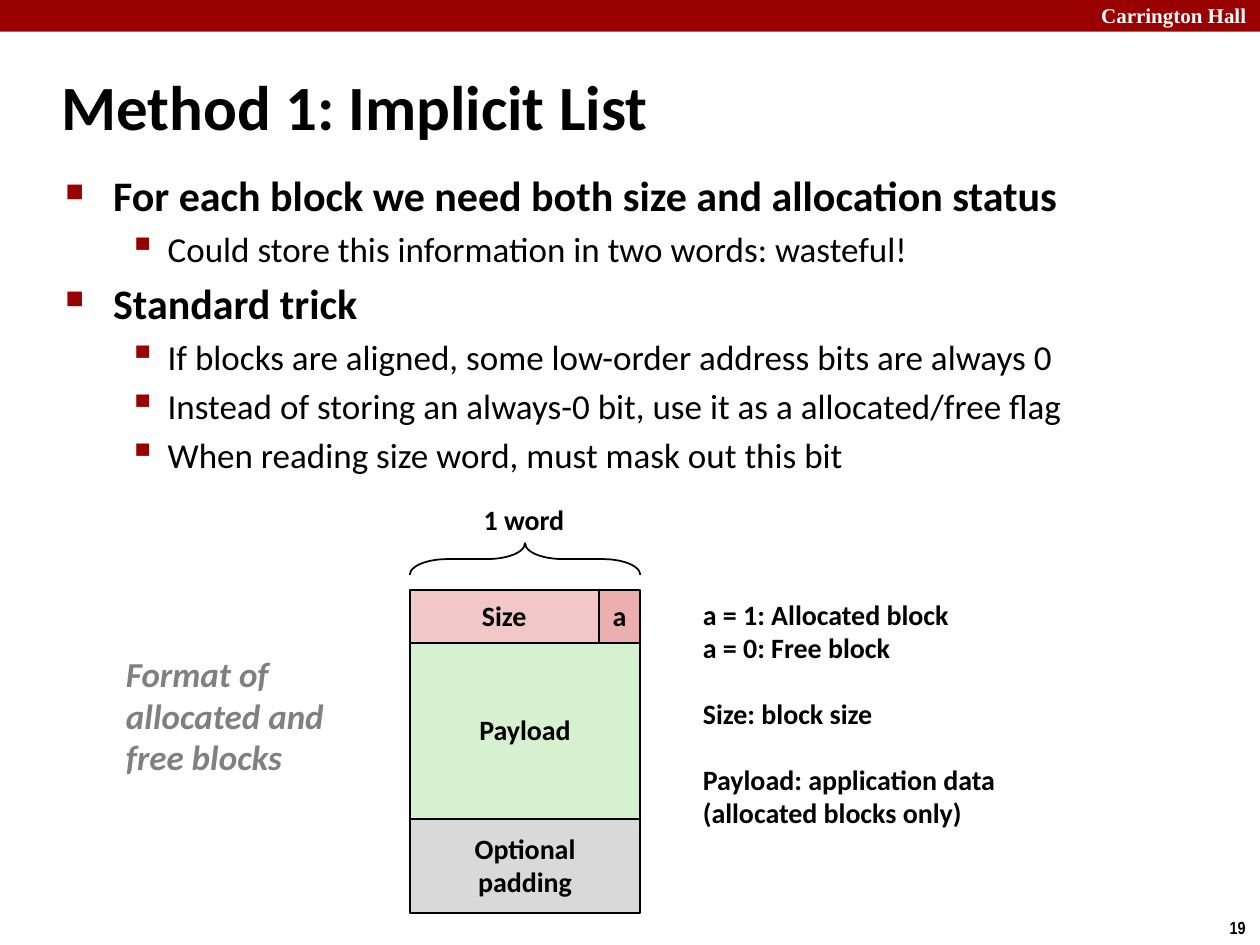
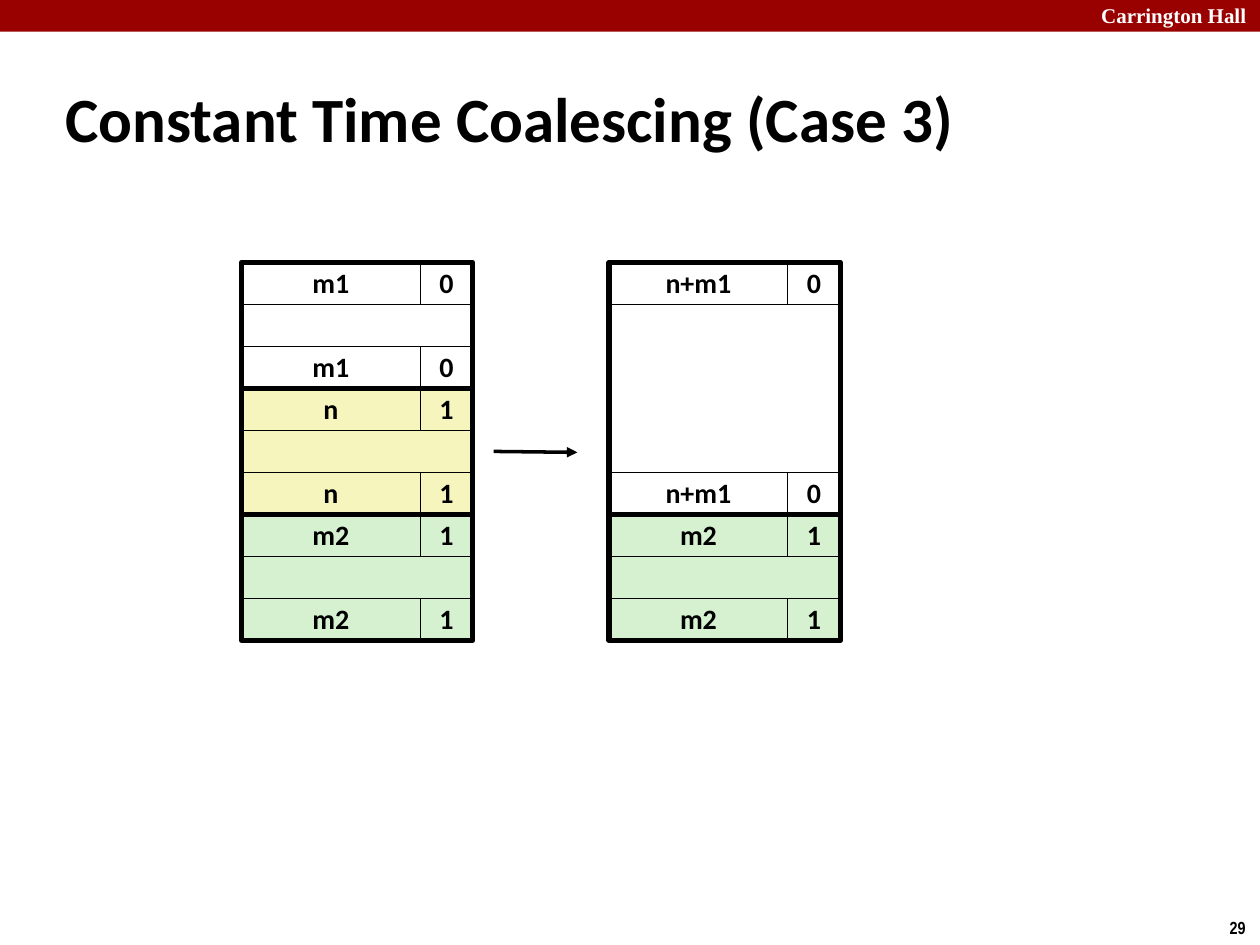
from lxml import etree
from pptx import Presentation
from pptx import util as u
from pptx.dml.color import RGBColor
from pptx.enum import shapes, text
from pptx.oxml import ns

COL = {"band": "990000", "white": "FFFFFF", "ink": "000000", "note": "808080",
       "size": "F1C7C7", "flag": "EBAFAF", "green": "D5F1CF", "pad": "D9D9D9",
       "yellow": "F6F5BD"}
FONT = "Calibri"
LEFT, MID = text.PP_ALIGN.LEFT, text.PP_ALIGN.CENTER
RECT = shapes.MSO_SHAPE.RECTANGLE
# Bullet levels: size, bold, margin, hang (cm), space before, sign, sign size
LEVEL = [(24, True, 0.96, 0.96, 4.8, "■", 60000),
         (20, False, 2.06, 0.79, 4, "▪", 110000)]


def rgb(name):
    return RGBColor.from_string(COL[name])


def node(top, tag, **attrs):
    return etree.SubElement(top, ns.qn("a:" + tag), attrs)


def write(para, words, size=16, col="ink", bold=True, slant=False, font=FONT):
    run = para.add_run()
    run.text = words
    face = run.font
    face.size, face.bold, face.italic, face.name = u.Pt(size), bold, slant, font
    face.color.rgb = rgb(col)


def fill_text(frame, lines, align=LEFT, space=0.98, gaps=(), **style):
    """One paragraph a line; gaps lists the lines with a line of space above."""
    frame.word_wrap = False
    for i, words in enumerate(lines):
        para = frame.paragraphs[0] if i == 0 else frame.add_paragraph()
        para.alignment, para.line_spacing = align, space
        if i in gaps:
            para.space_before = u.Pt(18.8)
        write(para, words, **style)


def label(slide, box, lines, anchor=text.MSO_ANCHOR.TOP, **style):
    frame = slide.shapes.add_textbox(*map(u.Cm, box)).text_frame
    frame.vertical_anchor = anchor
    fill_text(frame, lines, **style)


def shape(slide, box, col=None, line=1, kind=RECT):
    item = slide.shapes.add_shape(kind, *map(u.Cm, box))
    item.shadow.inherit = False
    if col:
        item.fill.solid()
        item.fill.fore_color.rgb = rgb(col)
    else:
        item.fill.background()
    if line:
        item.line.color.rgb = rgb("ink")
        item.line.width = u.Pt(line)
    else:
        item.line.fill.background()
    return item


def cell(slide, box, col, lines=(), line=1):
    frame = shape(slide, box, col, line).text_frame
    frame.vertical_anchor = text.MSO_ANCHOR.MIDDLE
    fill_text(frame, lines, align=MID)


def page(deck, number, title, box):
    """Blank slide with the shared band, page number and title."""
    slide = deck.slides.add_slide(deck.slide_layouts[6])
    shape(slide, (0, 0, 25.4, 0.64), "band", line=0)
    label(slide, (21.95, -0.08, 3.63, 0.76), ["Carrington Hall"], space=1,
          size=12, col="white", font="Times New Roman")
    label(slide, (24.54, 18.36, 0.86, 0.69), [str(number)], space=1,
          size=10, font="Arial Narrow")
    label(slide, box, [title], anchor=text.MSO_ANCHOR.MIDDLE, space=1, size=36)
    return slide


def points(slide, box, items):
    """Bulleted text from (level, words) pairs."""
    frame = slide.shapes.add_textbox(*map(u.Cm, box)).text_frame
    frame.word_wrap = True
    for i, (depth, words) in enumerate(items):
        size, bold, margin, hang, above, sign, scale = LEVEL[depth]
        para = frame.paragraphs[0] if i == 0 else frame.add_paragraph()
        para.level, para.space_before = depth, u.Pt(above)
        props = para._p.get_or_add_pPr()
        props.set("marL", str(u.Cm(margin)))
        props.set("indent", str(-u.Cm(hang)))
        node(node(props, "buClr"), "srgbClr", val=COL["band"])
        node(props, "buSzPct", val=str(scale))
        node(props, "buChar", char=sign)
        write(para, words, size=size, bold=bold)


def layout(slide, box):
    """Block format: brace, fields, caption on the left, legend on the right."""
    x, y, wide, _ = box
    head, load, pad, flag = 1.07, 3.55, 1.9, 0.84
    # Fields
    cell(slide, (x, y, wide - flag, head), "size", ["Size"])
    cell(slide, (x + wide - flag, y, flag, head), "flag", ["a"])
    cell(slide, (x, y + head, wide, load), "green", ["Payload"])
    cell(slide, (x, y + head + load, wide, pad), "pad", ["Optional", "padding"])
    # Brace, turned to lie over the fields
    deep = 0.64
    brace = shape(slide, (x + (wide - deep) / 2, y - 0.62 - wide / 2, deep, wide),
                  kind=shapes.MSO_SHAPE.RIGHT_BRACE)
    brace.rotation = 270
    brace.adjustments[0] = 1.19
    label(slide, (x + 1.24, y - 1.86, 2.16, 0.94), ["1 word"])
    # Caption and legend
    label(slide, (x - 5.97, y + 1.19, 4.52, 2.77),
          ["Format of", "allocated and", "free blocks"],
          size=20, col="note", slant=True)
    label(slide, (x + 5.66, y + 0.07, 6.48, 5.64),
          ["a = 1: Allocated block", "a = 0: Free block", "Size: block size",
           "Payload: application data", "(allocated blocks only)"], gaps=(2, 3))


def heap(slide, box, blocks):
    """Stack of blocks (name, flag, rows, colour), each with a head and a foot."""
    x, top, wide, high = box
    row = high / sum(block[2] for block in blocks)
    flag, thin = 1.06, 0.26
    for name, bit, rows, col in blocks:
        tall = rows * row
        cell(slide, (x, top + row, wide, tall - 2 * row), col, line=thin)
        for y in (top, top + tall - row):
            cell(slide, (x, y, wide - flag, row), col, [name], thin)
            cell(slide, (x + wide - flag, y, flag, row), col, [bit], thin)
        shape(slide, (x, top, wide, tall), line=3)
        top += tall


def arrow(slide, start, end):
    line = slide.shapes.add_connector(shapes.MSO_CONNECTOR.STRAIGHT,
                                      *map(u.Cm, start + end))
    line.line.color.rgb = rgb("ink")
    line.line.width = u.Pt(2)
    node(line.line._get_or_add_ln(), "tailEnd", type="triangle")
    node(line._element.spPr, "effectLst")


deck = Presentation()
deck.slide_width, deck.slide_height = u.Cm(25.4), u.Cm(19.05)

# Implicit list
slide = page(deck, 19, "Method 1: Implicit List", (0.99, 1.32, 18.31, 1.6))
points(slide, (1.07, 3.3, 22.94, 5.99), [
    (0, "For each block we need both size and allocation status"),
    (1, "Could store this information in two words: wasteful!"),
    (0, "Standard trick"),
    (1, "If blocks are aligned, some low-order address bits are always 0"),
    (1, "Instead of storing an always-0 bit, use it as a allocated/free flag"),
    (1, "When reading size word, must mask out this bit")])
layout(slide, (8.26, 11.89, 4.65, 6.52))

# Coalescing, before and after
slide = page(deck, 29, "Constant Time Coalescing (Case 3)",
             (1.07, 1.57, 23.29, 1.6))
last = ("m2", "1", 3, "green")
heap(slide, (4.87, 5.29, 4.66, 7.62),
     [("m1", "0", 3, "white"), ("n", "1", 3, "yellow"), last])
heap(slide, (12.28, 5.29, 4.66, 7.62), [("n+m1", "0", 6, "white"), last])
arrow(slide, (9.95, 9.1), (11.64, 9.12))

deck.save("out.pptx")
